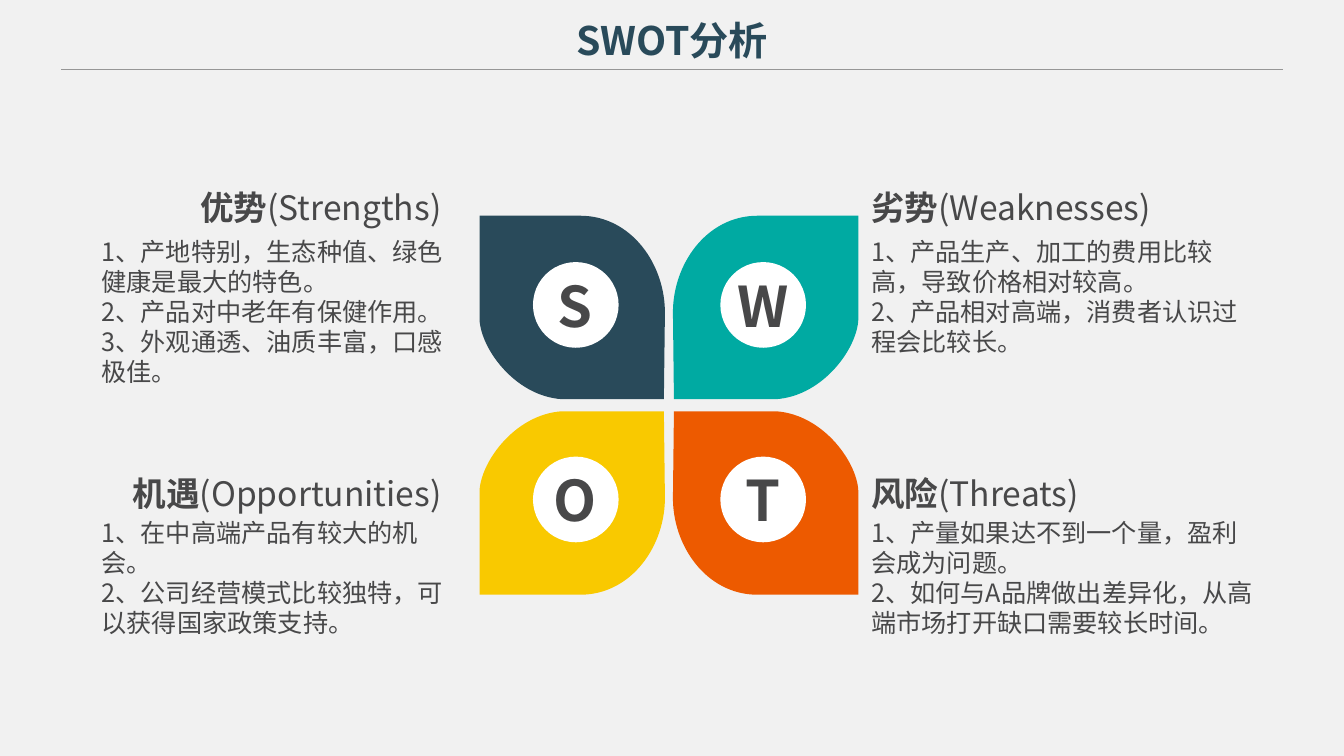
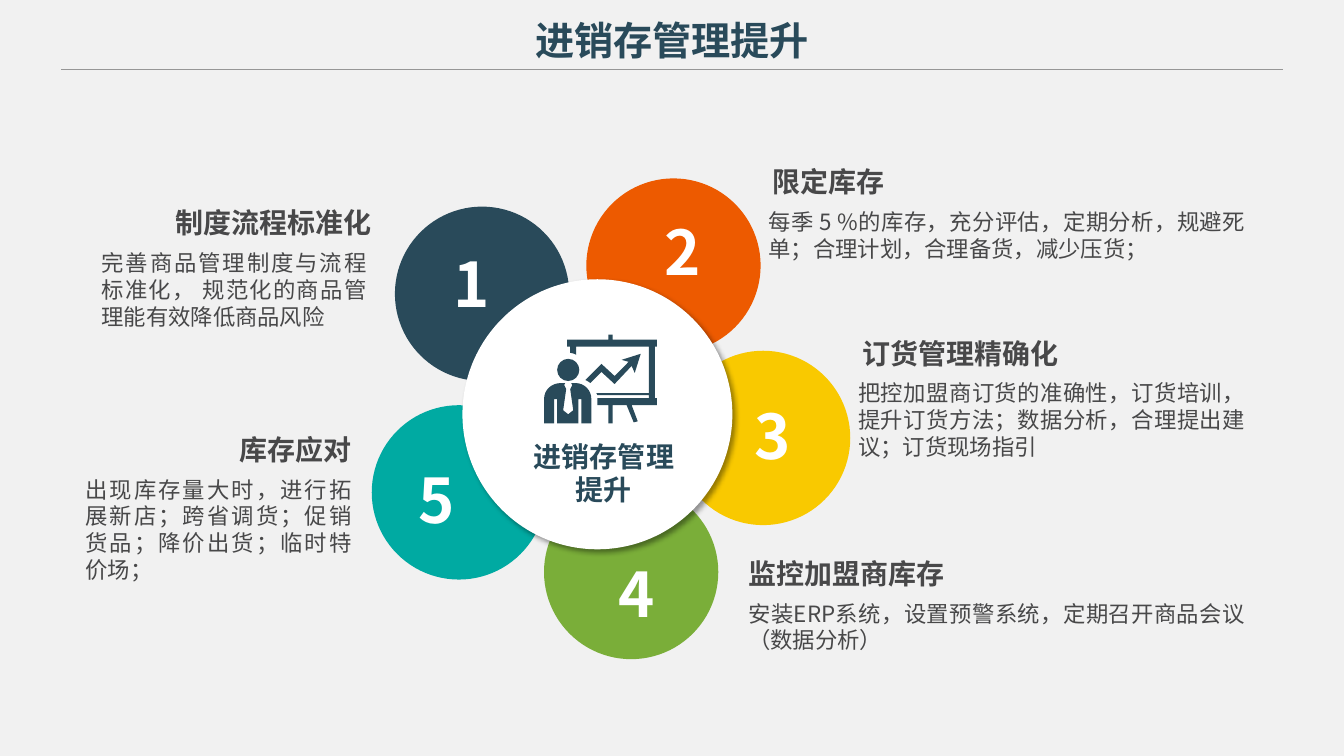
import pptx
import pptx.dml.color
import pptx.enum.shapes
import pptx.enum.text
import pptx.oxml
import pptx.oxml.ns
import pptx.util
from pptx.util import Inches

FONT = "Noto Sans CJK SC"
PAPER, WHITE, TEXT, RULE = "F1F1F1", "FFFFFF", "484849", "969696"
NAVY, TEAL, YELLOW, ORANGE, GREEN = "294A5A", "00AAA2", "F9C900", "ED5A00", "7AAE39"
LEFT, CENTER, RIGHT, JUSTIFY = (
    getattr(pptx.enum.text.PP_ALIGN, n) for n in ("LEFT", "CENTER", "RIGHT", "JUSTIFY"))
LINE_HEIGHT = 1.2
NS = pptx.oxml.ns.nsdecls("a")


def rgb(value):
    return pptx.dml.color.RGBColor.from_string(value)


def write(tf, *paragraphs, size=18, color=TEXT, bold=False, align=LEFT):
    """Fill a text frame; a paragraph is a string or a list of (text, bold) runs."""
    tf.word_wrap = True
    tf.auto_size = pptx.enum.text.MSO_AUTO_SIZE.NONE
    tf.vertical_anchor = pptx.enum.text.MSO_ANCHOR.TOP
    for i, runs in enumerate(paragraphs):
        p = tf.add_paragraph() if i else tf.paragraphs[0]
        p.alignment = align
        p.line_spacing = pptx.util.Pt(size * LINE_HEIGHT)
        # Keep punctuation inside the box
        p._p.get_or_add_pPr().set("hangingPunct", "0")
        for text, weight in [(runs, bold)] if isinstance(runs, str) else runs:
            r = p.add_run()
            r.text = text
            r.font.name = FONT
            r.font.size = pptx.util.Pt(size)
            r.font.bold = weight
            r.font.color.rgb = rgb(color)
            # East Asian characters need their own typeface entry
            ea = pptx.oxml.parse_xml(f'<a:ea {NS} typeface="{FONT}"/>')
            r.font._element.find(pptx.oxml.ns.qn("a:latin")).addnext(ea)


class Deck:
    def __init__(self):
        self.prs = pptx.Presentation()
        self.prs.slide_width, self.prs.slide_height = Inches(13.34), Inches(7.5)
        fill = self.prs.slide_master.background.fill
        fill.solid()
        fill.fore_color.rgb = rgb(PAPER)
        self.slide = None

    def new_slide(self, title):
        self.slide = self.prs.slides.add_slide(self.prs.slide_layouts[5])
        sp = self.slide.shapes.title
        sp.left, sp.top = Inches(3.87), Inches(0.11)
        sp.width, sp.height = Inches(5.6), Inches(0.57)
        write(sp.text_frame, title, size=28, color=NAVY, bold=True, align=CENTER)
        self.rule(0.61, 12.73, 0.69)

    def rule(self, x1, x2, y):
        line = self.slide.shapes.add_connector(
            pptx.enum.shapes.MSO_CONNECTOR.STRAIGHT,
            Inches(x1), Inches(y), Inches(x2), Inches(y))
        line.line.color.rgb = rgb(RULE)
        line.line.width = pptx.util.Pt(0.75)
        line._element.spPr.append(pptx.oxml.parse_xml(f"<a:effectLst {NS}/>"))

    def text(self, x, y, w, h, *paragraphs, **style):
        sp = self.slide.shapes.add_textbox(Inches(x), Inches(y), Inches(w), Inches(h))
        write(sp.text_frame, *paragraphs, **style)

    def paint(self, sp, color):
        sp.shadow.inherit = False
        sp.fill.solid()
        sp.fill.fore_color.rgb = rgb(color)
        sp.line.fill.background()
        return sp

    def disc(self, x, y, diameter, color):
        sp = self.slide.shapes.add_shape(
            pptx.enum.shapes.MSO_SHAPE.OVAL,
            Inches(x), Inches(y), Inches(diameter), Inches(diameter))
        return self.paint(sp, color)

    def outline(self, contours, color):
        """Draw closed contours; a step has 2 numbers (line) or 6 (Bezier curve)."""
        builder = None
        for contour in contours:
            ends = [(Inches(step[-2]), Inches(step[-1])) for step in contour]
            if builder is None:
                builder = self.slide.shapes.build_freeform(*ends[0])
            else:
                builder.move_to(*ends[0])
            builder.add_line_segments(ends[1:], close=True)
        sp = builder.convert_to_shape()
        # Each contour ends with a close element, matched here by an empty step
        steps = [step for contour in contours for step in [*contour, ()]]
        segments = list(next(sp._element.iter(pptx.oxml.ns.qn("a:path"))))
        for segment, step in zip(segments, steps):
            if len(step) == 6:
                points = "".join(
                    f'<a:pt x="{Inches(x) - sp.left}" y="{Inches(y) - sp.top}"/>'
                    for x, y in zip(step[::2], step[1::2]))
                curve = f"<a:cubicBezTo {NS}>{points}</a:cubicBezTo>"
                segment.getparent().replace(segment, pptx.oxml.parse_xml(curve))
        return self.paint(sp, color)


# Lower right petal, measured from the middle of the flower
PETAL = [(0.05, 0.06), (1.06, 0.06), (1.54, 0.09, 1.89, 0.59, 1.88, 0.88),
         (1.88, 1.88), (0.88, 1.88), (0.37, 1.88, 0.03, 1.39, 0.04, 0.9)]


def petal(deck, side, row, color):
    middle, signs = (6.64, 4.02), (side, row)
    deck.outline([[tuple(middle[i % 2] + signs[i % 2] * v for i, v in enumerate(step))
                   for step in PETAL]], color)


def swot_slide(deck):
    deck.new_slide("SWOT分析")
    # letter, side, row, colour, heading, English name, body height, points
    parts = [
        ("S", -1, -1, NAVY, "优势", "(Strengths)", 1.62,
         ["1、产地特别，生态种值、绿色健康是最大的特色。",
          "2、产品对中老年有保健作用。",
          "3、外观通透、油质丰富，口感极佳。"]),
        ("W", 1, -1, TEAL, "劣势", "(Weaknesses)", 1.31,
         ["1、产品生产、加工的费用比较高，导致价格相对较高。",
          "2、产品相对高端，消费者认识过程会比较长。"]),
        ("O", -1, 1, YELLOW, "机遇", "(Opportunities)", 1.01,
         ["1、在中高端产品有较大的机会。",
          "2、公司经营模式比较独特，可以获得国家政策支持。"]),
        ("T", 1, 1, ORANGE, "风险", "(Threats)", 1.31,
         ["1、产量如果达不到一个量，盈利会成为问题。",
          "2、如何与A品牌做出差异化，从高端市场打开缺口需要较长时间。"]),
    ]
    for letter, side, row, color, name, english, body_h, points in parts:
        # Petal with its letter
        petal(deck, side, row, color)
        disc_x = 5.29 if side < 0 else 7.15
        disc_y, head_y, body_y = (2.6, 1.81, 2.29) if row < 0 else (4.53, 4.64, 5.08)
        deck.disc(disc_x, disc_y, 0.85, WHITE)
        deck.text(disc_x + 0.07, disc_y + 0.04, 0.7, 0.77, letter,
                  size=40, bold=True, align=CENTER)
        # Heading and points beside it
        x, head_w, body_w, align = (
            (0.91, 3.57, 3.75, RIGHT) if side < 0 else (8.55, 3.13, 4, LEFT))
        deck.text(x, head_y, head_w, 0.5, [(name, True), (english, False)],
                  size=24, align=align)
        deck.text(x, body_y, body_w, body_h, *points)


def presenter_icon(deck):
    arrow = [(5.97, 3.61), (5.81, 3.77), (5.83, 3.78, 5.85, 3.79, 5.86, 3.8),
             (5.97, 3.69), (6.1, 3.81), (6.27, 3.63), (6.3, 3.7), (6.36, 3.51),
             (6.17, 3.57), (6.24, 3.59), (6.1, 3.73)]
    board = [(6.52, 3.44), (6.52, 3.37), (6.08, 3.37), (6.08, 3.32), (6.04, 3.32),
             (6.04, 3.37), (5.63, 3.37), (5.63, 3.44), (5.66, 3.44), (5.66, 3.5),
             (5.68, 3.5, 5.7, 3.51, 5.72, 3.52), (5.72, 3.44), (6.44, 3.44),
             (6.44, 3.9), (5.92, 3.9), (5.92, 3.91, 5.93, 3.91, 5.93, 3.92),
             (6.44, 3.92), (6.44, 3.95), (5.93, 3.95), (5.93, 4.02),
             (6.04, 4.02), (6.04, 4.2), (6.08, 4.2), (6.08, 4.02), (6.22, 4.02),
             (6.29, 4.19), (6.33, 4.18), (6.27, 4.02), (6.52, 4.02), (6.52, 3.95),
             (6.5, 3.95), (6.5, 3.44)]
    head = [(5.64, 3.78), (5.7, 3.78, 5.75, 3.73, 5.75, 3.67),
            (5.75, 3.61, 5.7, 3.56, 5.64, 3.56), (5.58, 3.56, 5.53, 3.61, 5.53, 3.67),
            (5.53, 3.73, 5.58, 3.78, 5.64, 3.78)]
    body = [(5.71, 3.8), (5.67, 3.8), (5.68, 3.81, 5.68, 3.81, 5.68, 3.82),
            (5.66, 3.86), (5.69, 4.07), (5.64, 4.11), (5.59, 4.07), (5.62, 3.86),
            (5.6, 3.82), (5.6, 3.81, 5.6, 3.81, 5.61, 3.8), (5.57, 3.8),
            (5.47, 3.8, 5.4, 3.87, 5.4, 3.96), (5.4, 4.2), (5.5, 4.2), (5.5, 3.96),
            (5.53, 3.96), (5.53, 4.2), (5.74, 4.2), (5.74, 3.96), (5.77, 3.96),
            (5.77, 4.2), (5.87, 4.2), (5.87, 3.96), (5.87, 3.87, 5.8, 3.8, 5.71, 3.8)]
    deck.outline([arrow, board, head, body], NAVY)


def hub(deck):
    sp = deck.disc(4.66, 2.84, 2.54, WHITE)
    sp.line.color.rgb = rgb(WHITE)
    sp.line.width = pptx.util.Pt(10)
    shadow = pptx.oxml.parse_xml(
        f'<a:outerShdw {NS} blurRad="50800" dist="38100" dir="2700000" algn="tl"'
        ' rotWithShape="0"><a:srgbClr val="000000"><a:alpha val="40000"/>'
        '</a:srgbClr></a:outerShdw>')
    sp._element.spPr.find(pptx.oxml.ns.qn("a:effectLst")).append(shadow)
    presenter_icon(deck)
    deck.text(5.17, 4.31, 1.65, 0.77, "进销存管理提升",
              size=20, color=NAVY, bold=True, align=CENTER)


def inventory_slide(deck):
    deck.new_slide("进销存管理提升")
    # colour, disc corner, number corner, heading corner, alignment, heading, body box, body
    steps = [
        (NAVY, (3.92, 2.05), (4.4, 2.39), (1.61, 1.99), RIGHT, "制度流程标准化",
         (0.91, 2.42, 2.83, 0.91),
         "完善商品管理制度与流程标准化， 规范化的商品管理能有效降低商品风险"),
        (ORANGE, (5.82, 1.77), (6.5, 2.07), (7.57, 1.58), LEFT, "限定库存",
         (7.53, 2.02, 4.93, 0.64),
         "每季 5 %的库存，充分评估，定期分析，规避死单；合理计划，合理备货，减少压货；"),
        (YELLOW, (6.71, 3.48), (7.39, 3.9), (8.46, 3.29), LEFT, "订货管理精确化",
         (8.42, 3.71, 4.04, 0.91),
         "把控加盟商订货的准确性，订货培训，提升订货方法；数据分析，合理提出建议；订货现场指引"),
        (GREEN, (5.4, 4.81), (6.04, 5.47), (7.33, 5.47), LEFT, "监控加盟商库存",
         (7.33, 5.9, 5.13, 0.64),
         "安装ERP系统，设置预警系统，定期召开商品会议（数据分析）"),
        (TEAL, (3.69, 4.02), (4.06, 4.53), (1.41, 4.24), RIGHT, "库存应对",
         (0.75, 4.67, 2.84, 1.18),
         "出现库存量大时，进行拓展新店；跨省调货；促销货品；降价出货；临时特价场；"),
    ]
    # Discs lie under the hub, numbers and texts above it
    for color, disc, *_ in steps:
        deck.disc(*disc, 1.73, color)
    hub(deck)
    for i, (_, _, number, head, align, name, box, body) in enumerate(steps, 1):
        deck.text(*number, 0.58, 0.84, str(i), size=44, color=WHITE, bold=True)
        deck.text(*head, 2.18, 0.44, name, size=20, bold=True, align=align)
        deck.text(*box, body, size=16, align=JUSTIFY)


def main():
    deck = Deck()
    swot_slide(deck)
    inventory_slide(deck)
    deck.prs.save("out.pptx")


if __name__ == "__main__":
    main()
